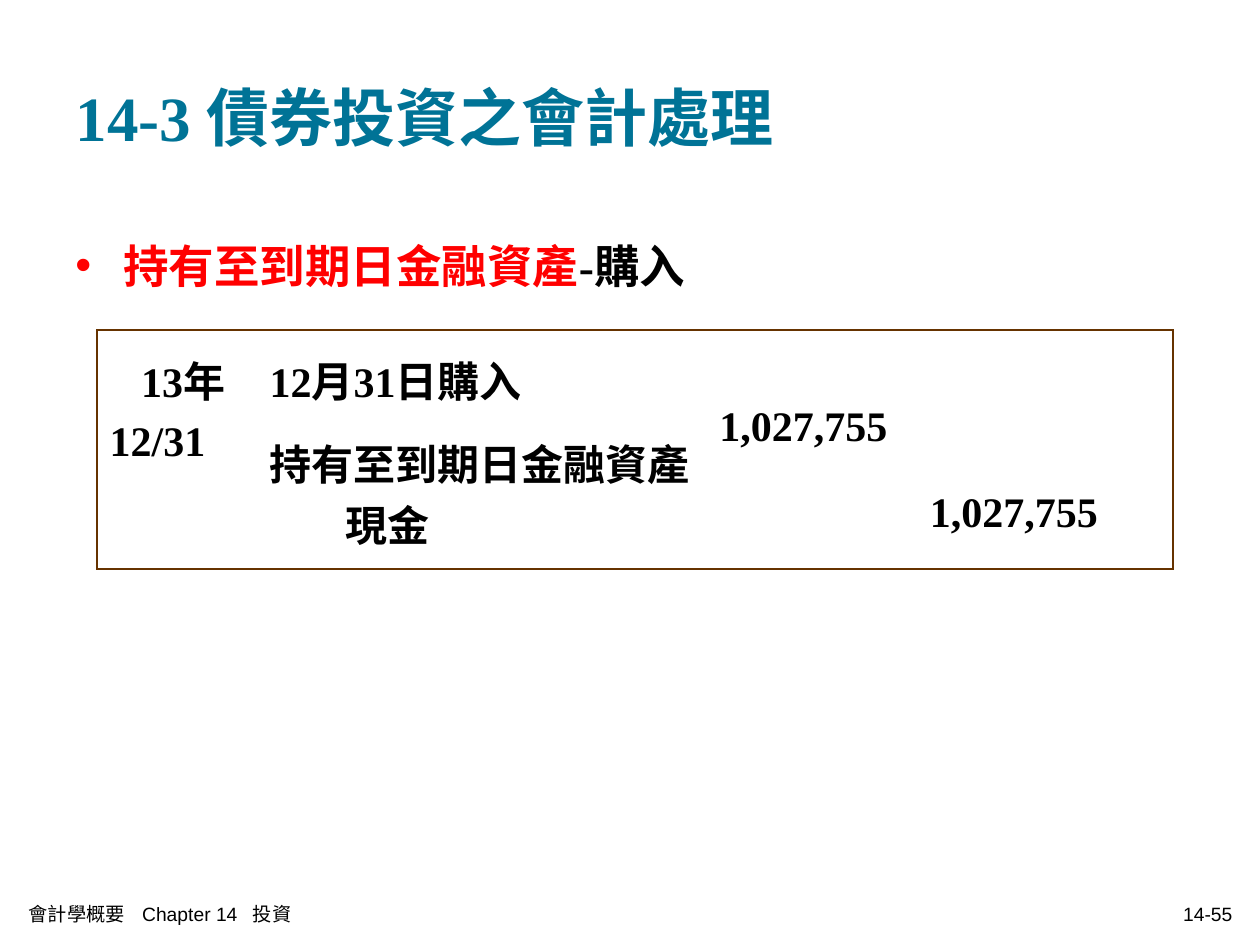
from dataclasses import dataclass

from lxml.etree import SubElement as add_element
from pptx import Presentation
from pptx.dml.color import RGBColor as Color
from pptx.enum.text import MSO_ANCHOR as Anchor, MSO_AUTO_SIZE as AutoSize, PP_ALIGN as Align
from pptx.oxml.ns import qn
from pptx.util import Inches, Pt

COLUMNS, ROWS = 100, 75


@dataclass(frozen=True)
class Theme:
    serif: str = "Times New Roman"
    sans: str = "Arial"
    teal: str = "007396"
    red: str = "FF0000"
    black: str = "000000"
    brown: str = "663300"
    title: int = 36
    bullet: int = 26
    entry: int = 24
    footer: int = 11
    border: float = 1.08


THEME = Theme()


def grid(deck, left, top, width, height):
    column, row = deck.slide_width / COLUMNS, deck.slide_height / ROWS
    values = left * column, top * row, width * column, height * row
    return [int(value) for value in values]


def apply(target, formats):
    for name, value in formats.items():
        setattr(target, name, value)


def add_span(para, text, size, color, name=THEME.serif, bold=True):
    span = para.add_run()
    span.text = text
    apply(span.font, {"size": Pt(size), "name": name, "bold": bold})
    span.font.color.rgb = Color.from_string(color)


def indent(para, margin, first):
    properties = para._p.get_or_add_pPr()
    properties.set("marL", str(Inches(margin)))
    properties.set("indent", str(Inches(first)))
    return properties


def add_box(deck, page, area, anchor):
    box = page.shapes.add_textbox(*grid(deck, *area))
    apply(box.text_frame, {"word_wrap": True, "vertical_anchor": anchor})
    return box.text_frame.paragraphs[0]


def add_title(deck, page, text):
    title = page.shapes.title
    apply(title, dict(zip(("left", "top", "width", "height"), grid(deck, 5, 3, 90, 12.5))))
    apply(title.text_frame, {"vertical_anchor": Anchor.MIDDLE, "auto_size": AutoSize.NONE})
    para = title.text_frame.paragraphs[0]
    para.alignment = Align.LEFT
    add_span(para, text, THEME.title, THEME.teal)


def add_bullet(deck, page, spans):
    para = add_box(deck, page, (5, 17.5, 90, 8.7), Anchor.TOP)
    para.line_spacing = 1.2
    properties = indent(para, 0.38, -0.38)
    color = add_element(properties, qn("a:buClr"))
    add_element(color, qn("a:srgbClr"), val=THEME.red)
    add_element(properties, qn("a:buFont"), typeface=THEME.sans)
    add_element(properties, qn("a:buChar"), char="•")
    for text, shade in spans:
        add_span(para, text, THEME.bullet, shade)


def add_footer(deck, page, area, text, align, stops=()):
    para = add_box(deck, page, area, Anchor.MIDDLE)
    para.alignment = align
    if stops:
        tabs = add_element(para._p.get_or_add_pPr(), qn("a:tabLst"))
        for stop in stops:
            add_element(tabs, qn("a:tab"), pos=str(Inches(stop)), algn="l")
    add_span(para, text, THEME.footer, THEME.black, THEME.sans, False)


def set_borders(cell, edges):
    properties = cell._tc.get_or_add_tcPr()
    for side, shown in edges.items():
        line = add_element(properties, qn(f"a:ln{side}"), w=str(Pt(THEME.border)))
        if shown:
            fill = add_element(line, qn("a:solidFill"))
            add_element(fill, qn("a:srgbClr"), val=THEME.brown)
        else:
            add_element(line, qn("a:noFill"))


def fill_cell(cell, lines, first=0, top=0.05):
    cell.margin_top = Inches(top)
    for index, text in enumerate(lines):
        frame = cell.text_frame
        para = frame.add_paragraph() if index else frame.paragraphs[0]
        apply(para, {"line_spacing": 1.2, "space_before": Pt(6 if index else 0)})
        indent(para, 0, first)
        add_span(para, text, THEME.entry, THEME.black)


def add_journal(deck, page, widths, heights, entries):
    area = grid(deck, 7.7, 26.2, sum(widths), sum(heights))
    table = page.shapes.add_table(len(heights), len(widths), *area).table
    apply(table, {"first_row": False, "horz_banding": False})
    for column, width in zip(table.columns, widths):
        column.width = grid(deck, 0, 0, width, 0)[2]
    for row, height in zip(table.rows, heights):
        row.height = grid(deck, 0, 0, 0, height)[3]
    last_row, last_column = len(heights) - 1, len(widths) - 1
    for y, row in enumerate(table.rows):
        for x, cell in enumerate(row.cells):
            edges = {"L": x == 0, "R": x == last_column, "T": y == 0, "B": y == last_row}
            set_borders(cell, edges)
            cell.fill.background()
    for (y, x), formats in entries.items():
        fill_cell(table.cell(y, x), **formats)


def main():
    deck = Presentation()
    apply(deck, {"slide_width": Inches(10), "slide_height": Inches(7.5)})
    page = deck.slides.add_slide(deck.slide_layouts[5])
    add_title(deck, page, "14-3 債券投資之會計處理")
    add_bullet(deck, page, [("持有至到期日金融資產", THEME.red), ("-購入", THEME.black)])
    add_journal(deck, page, (12.7, 35.7, 16.7, 20.3), (11.4, 7.5), {
        (0, 0): {"lines": ["13年12/31"], "first": 0.25},
        (0, 1): {"lines": ["12月31日購入", "持有至到期日金融資產"]},
        (0, 2): {"lines": ["1,027,755"], "top": 0.51},
        (1, 1): {"lines": ["現金"], "first": 0.6},
        (1, 3): {"lines": ["1,027,755"]},
    })
    add_footer(deck, page, (1.3, 70.9, 51, 3.3), "會計學概要\tChapter 14\t投資", Align.LEFT, (0.9, 1.78))
    add_footer(deck, page, (68, 70.9, 30.8, 3.3), "14-55", Align.RIGHT)
    deck.save("out.pptx")


if __name__ == "__main__":
    main()
